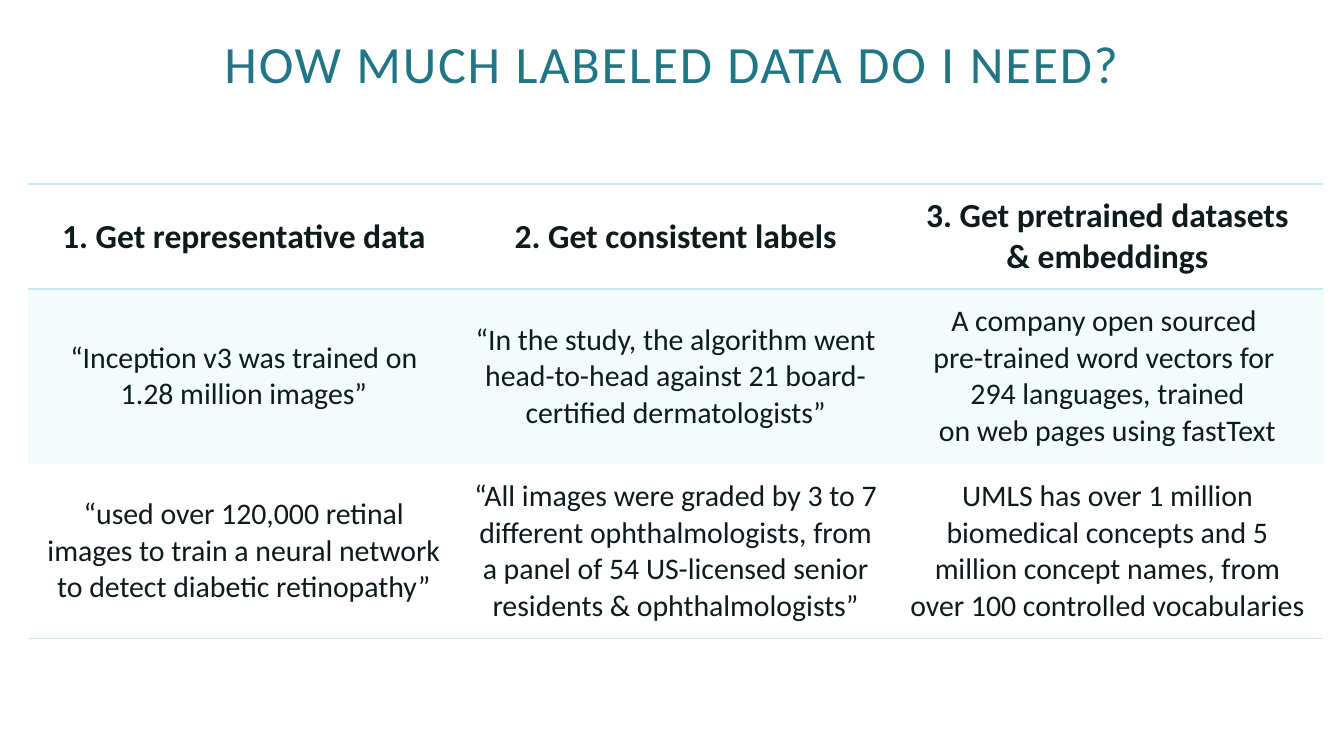
"""Build a slide with a three-column table on how much labeled data is needed."""
from dataclasses import dataclass

from lxml.etree import SubElement
from pptx import Presentation
from pptx.dml.color import RGBColor
from pptx.enum.text import MSO_ANCHOR, PP_ALIGN
from pptx.oxml.ns import qn
from pptx.util import Cm, Pt


@dataclass(frozen=True)
class Theme:
    font: str = "Calibri"
    title: str = "207685"
    ink: str = "0D1B1C"
    accent: str = "C5EBF1"
    title_size: int = 28
    head_size: int = 18
    body_size: int = 16


theme = Theme()


def write(tf, text, *, size, color=theme.ink, bold=False, spacing=0, line=None):
    p = tf.paragraphs[0]
    p.text = text
    p.alignment = PP_ALIGN.CENTER
    if line:
        p.line_spacing = line
    for r in p.runs:
        r.font.name = theme.font
        r.font.size = Pt(size)
        r.font.bold = bold
        r.font.color.rgb = RGBColor.from_string(color)
        if spacing:
            r.font._element.set("spc", str(spacing * 100))
    for br in p._p.findall(qn("a:br")):
        SubElement(br, qn("a:rPr"), sz=str(size * 100))


def add_border(cell, side):
    ln = SubElement(cell._tc.get_or_add_tcPr(), qn(f"a:ln{side}"), w=str(Pt(1)))
    fill = SubElement(ln, qn("a:solidFill"))
    SubElement(fill, qn("a:srgbClr"), val=theme.accent)


rows = [
    ["1. Get representative data",
     "2. Get consistent labels",
     "3. Get pretrained datasets\n& embeddings"],
    ["“Inception v3 was trained on 1.28 million images”",
     "“In the study, the algorithm went head-to-head against 21 board-certified dermatologists”",
     "A company open sourced \npre-trained word vectors for \n294 languages, trained\non web pages using fastText"],
    ["“used over 120,000 retinal images to train a neural network to detect diabetic retinopathy”",
     "“All images were graded by 3 to 7 different ophthalmologists, from a panel of 54 US-licensed "
     "senior residents & ophthalmologists”",
     "UMLS has over 1 million biomedical concepts and 5 million concept names, "
     "from over 100 controlled vocabularies"],
]
heights = [1.98, 3.3, 3.3]
borders = ["TB", "", "B"]
col_width = 8.16

prs = Presentation()
prs.slide_width, prs.slide_height = Cm(25.4), Cm(14.28)
s = prs.slides.add_slide(prs.slide_layouts[6])

frame = s.shapes.add_table(3, 3, Cm(0.53), Cm(3.48), Cm(3 * col_width), Cm(sum(heights)))
table = frame.table
table.first_row = table.horz_banding = False
style = table._tbl.tblPr.find(qn("a:tableStyleId"))
style.text = "{2D5ABB26-0587-4C30-8999-92F81FD0307C}"
for col in table.columns:
    col.width = Cm(col_width)

for i, texts in enumerate(rows):
    table.rows[i].height = Cm(heights[i])
    for j, text in enumerate(texts):
        cell = table.cell(i, j)
        cell.vertical_anchor = MSO_ANCHOR.MIDDLE
        write(cell.text_frame, text, size=theme.body_size if i else theme.head_size, bold=i == 0)
        for side in borders[i]:
            add_border(cell, side)
        if i == 1:
            cell.fill.solid()
            cell.fill.fore_color.rgb = RGBColor.from_string(theme.accent)
            color = cell._tc.tcPr.find(qn("a:solidFill")).find(qn("a:srgbClr"))
            SubElement(color, qn("a:alpha"), val="20000")
        else:
            cell.fill.background()

title = s.shapes.add_textbox(Cm(1.27), Cm(0.18), Cm(22.86), Cm(2.16))
tf = title.text_frame
tf.word_wrap = True
tf.vertical_anchor = MSO_ANCHOR.MIDDLE
tf.margin_left = tf.margin_right = tf.margin_top = tf.margin_bottom = 0
write(tf, "HOW MUCH LABELED DATA DO I NEED?", size=theme.title_size,
      color=theme.title, spacing=1, line=0.9)

prs.save("out.pptx")
